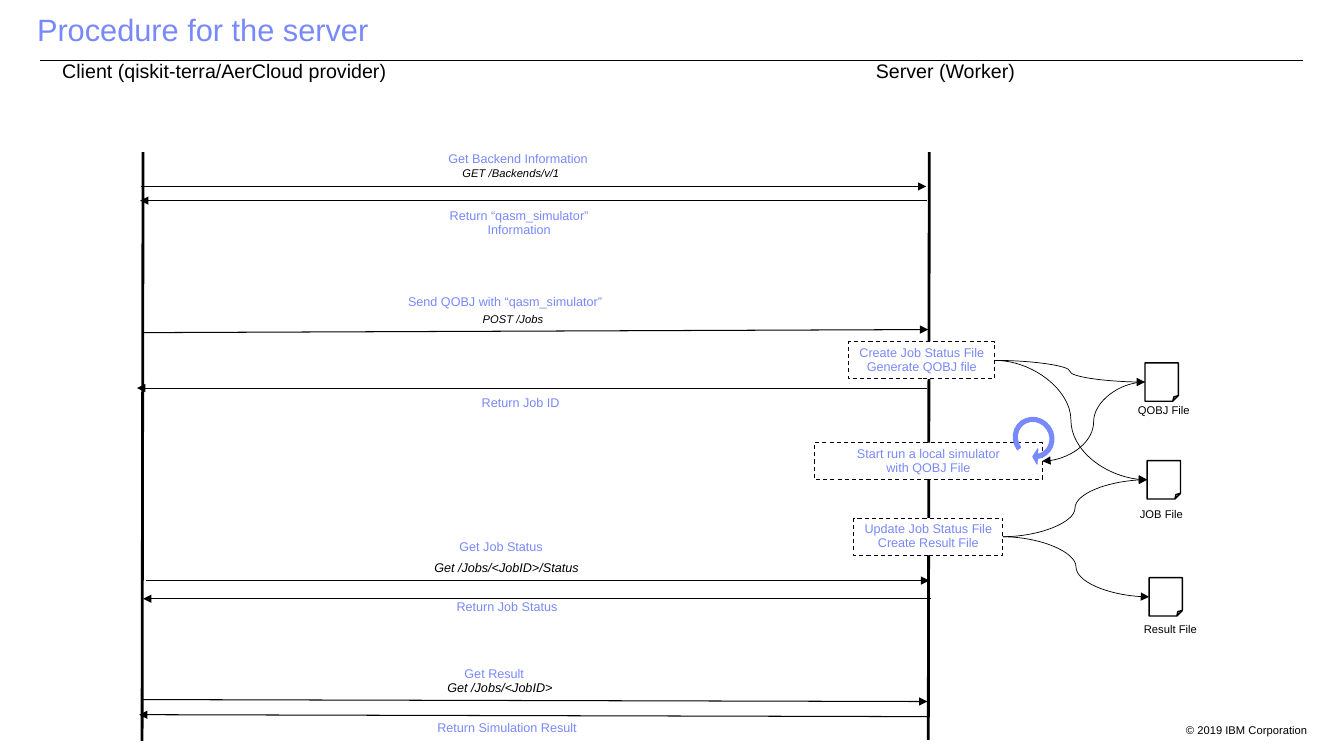
from lxml.etree import SubElement
from pptx import Presentation
from pptx.dml.color import RGBColor
from pptx.enum.dml import MSO_LINE
from pptx.enum.shapes import MSO_CONNECTOR, MSO_SHAPE
from pptx.enum.text import MSO_ANCHOR, MSO_AUTO_SIZE, PP_ALIGN
from pptx.oxml.ns import qn
from pptx.util import Pt

BLACK = RGBColor(0x00, 0x00, 0x00)
WHITE = RGBColor(0xFF, 0xFF, 0xFF)
BLUE = RGBColor(0x78, 0x89, 0xFB)

TITLE = "Procedure for the server"
FOOTER = "© 2019 IBM Corporation"

# x1, y1, x2, y2, width
RULES = [
    (28.8, 43.2, 931, 43.2, 0.75),
    (102.2, 108.7, 101.5, 529.2, 2),
    (663.8, 108.7, 663.1, 528.5, 2),
]
# client x, client y, server x, server y, end that carries the arrowhead
CALLS = [
    (100.8, 133.2, 661.7, 133.2, "server"),
    (100.1, 143.3, 662.4, 143.3, "client"),
    (102.2, 237.6, 663.1, 235.4, "server"),
    (97.9, 277.2, 662.4, 277.2, "client"),
    (104.4, 414.7, 663.8, 414.7, "server"),
    (102.2, 427.7, 665.3, 427.7, "client"),
    (102.2, 499.7, 662.4, 501.1, "server"),
    (99.4, 510.5, 663.1, 511.9, "client"),
]
# text, left, top, width, size, colour, italic
LABELS = [
    ("Client (qiskit-terra/AerCloud provider)", 37.4, 40.3, 247, 14, BLACK, False),
    ("Server (Worker)", 618.5, 40.3, 114.5, 14, BLACK, False),
    ("Get Backend Information", 313.2, 105.8, 115.2, 9, BLUE, False),
    ("GET /Backends/v/1", 323.3, 116.6, 84.2, 8, BLACK, True),
    ("Send QOBJ with “qasm_simulator”", 284.4, 207.4, 154.1, 9, BLUE, False),
    ("POST /Jobs", 337.7, 220.3, 58.3, 8, BLACK, True),
    ("Return Job ID", 337, 280.1, 70.6, 9, BLUE, False),
    ("Get Job Status", 321.1, 382.3, 74.9, 9, BLUE, False),
    ("Get /Jobs/<JobID>/Status", 303.1, 397.4, 118.8, 9, BLACK, True),
    ("Return Job Status", 319, 425.5, 87.1, 9, BLUE, False),
    ("Get Result", 324.7, 473, 57.6, 9, BLUE, False),
    ("Get /Jobs/<JobID>", 312.5, 483.1, 90, 9, BLACK, True),
    ("Return Simulation Result", 305.3, 511.9, 115.2, 9, BLUE, False),
    ("QOBJ File", 805.7, 285.8, 51.8, 8, BLACK, False),
    ("JOB File", 807.1, 360, 45.4, 8, BLACK, False),
    ("Result File", 810, 442.1, 52.6, 8, BLACK, False),
]
HEIGHTS = {14: 22.3, 9: 17.3, 8: 15.8}
# lines, left, top, width, dashed border, wrap
BOXES = {
    "reply": (["Return “qasm_simulator”", "Information"], 280.8, 146.2, 180, False, True),
    "run": (["Start run a local simulator", "with QOBJ File"], 581.8, 316.1, 162.7, True, True),
    "create": (["Create Job Status File", "Generate QOBJ file"], 606.2, 244.1, 104.4, True, False),
    "update": (["Update Job Status File", "Create Result File"], 609.8, 370.1, 106.6, True, False),
}
BOX_H = 26.6
PAGES = {"qobj": (817.9, 259.2), "job": (819.4, 329), "result": (820.8, 412.6)}
PAGE_W, PAGE_H = 23.8, 27.4
LEFT, RIGHT = 1, 3  # connection sites
CURVES = [
    ("create", RIGHT, "job", LEFT),
    ("create", RIGHT, "qobj", LEFT),
    ("update", RIGHT, "job", LEFT),
    ("update", RIGHT, "result", LEFT),
    ("qobj", LEFT, "run", RIGHT),
]
LOOP = (720, 293.8, 36.7, 38.2)
LOOP_TURN = 324.3
LOOP_ADJ = [0.08, 8.65, 68.39, 108, 0.15]

deck = Presentation()
deck.slide_width, deck.slide_height = Pt(960), Pt(540)
slide = deck.slides.add_slide(deck.slide_layouts[6])
shapes = slide.shapes


def write(frame, lines, size, color, italic=False, align=PP_ALIGN.LEFT):
    for i, line in enumerate(lines):
        para = frame.paragraphs[0] if i == 0 else frame.add_paragraph()
        para.text = line
        para.alignment = align
        para.line_spacing = 0.9
        font = para.font
        font.name, font.size, font.italic = "Arial", Pt(size), italic
        font.color.rgb = color


def add_label(text, x, y, w, h, size, color, italic=False, align=PP_ALIGN.LEFT):
    frame = shapes.add_textbox(Pt(x), Pt(y), Pt(w), Pt(h)).text_frame
    write(frame, [text], size, color, italic, align)
    return frame


def add_line(kind, x1, y1, x2, y2, width, head=None):
    """Draw a black connector; head names the XML end that gets a triangle."""
    line = shapes.add_connector(kind, Pt(x1), Pt(y1), Pt(x2), Pt(y2))
    line.line.color.rgb = BLACK
    line.line.width = Pt(width)
    if head:
        SubElement(line.line._get_or_add_ln(), qn("a:" + head), type="triangle")
    SubElement(line._element.spPr, qn("a:effectLst"))
    return line


def add_form(kind, x, y, w, h, fill, edge=None, width=0.75):
    form = shapes.add_shape(kind, Pt(x), Pt(y), Pt(w), Pt(h))
    form.shadow.inherit = False
    form.fill.solid()
    form.fill.fore_color.rgb = fill
    if edge is None:
        form.line.fill.background()
    else:
        form.line.color.rgb = edge
        form.line.width = Pt(width)
    return form


for rule in RULES:
    add_line(MSO_CONNECTOR.STRAIGHT, *rule)
for *ends, goal in CALLS:
    head = "tailEnd" if goal == "server" else "headEnd"
    add_line(MSO_CONNECTOR.STRAIGHT, *ends, 0.75, head)

add_label(TITLE, 19.4, 7.2, 912.2, 50.4, 22, BLUE).word_wrap = True
foot = add_label(FOOTER, 797, 514.8, 144, 14.4, 8, BLACK, align=PP_ALIGN.RIGHT)
foot.word_wrap = True
foot.vertical_anchor = MSO_ANCHOR.MIDDLE

nodes = {}
for name, (lines, x, y, w, dashed, wrap) in BOXES.items():
    box = add_form(MSO_SHAPE.RECTANGLE, x, y, w, BOX_H, WHITE, BLACK if dashed else None)
    if dashed:
        box.line.dash_style = MSO_LINE.DASH
    write(box.text_frame, lines, 9, BLUE, align=PP_ALIGN.CENTER)
    box.text_frame.word_wrap = wrap
    box.text_frame.auto_size = MSO_AUTO_SIZE.SHAPE_TO_FIT_TEXT
    nodes[name] = box

for text, x, y, w, size, color, italic in LABELS:
    frame = add_label(text, x, y, w, HEIGHTS[size], size, color, italic)
    frame.word_wrap = False
    frame.auto_size = MSO_AUTO_SIZE.SHAPE_TO_FIT_TEXT

for name, (x, y) in PAGES.items():
    nodes[name] = add_form(MSO_SHAPE.FOLDED_CORNER, x, y, PAGE_W, PAGE_H, WHITE, BLACK, 1)

for start, out, end, into in CURVES:
    curve = add_line(MSO_CONNECTOR.CURVE, 0, 0, 0, 0, 0.5, "tailEnd")
    curve.begin_connect(nodes[start], out)
    curve.end_connect(nodes[end], into)

loop = add_form(MSO_SHAPE.CIRCULAR_ARROW, *LOOP, BLUE, BLUE)
loop.rotation = LOOP_TURN
for i, value in enumerate(LOOP_ADJ):
    loop.adjustments[i] = value

deck.save("out.pptx")
